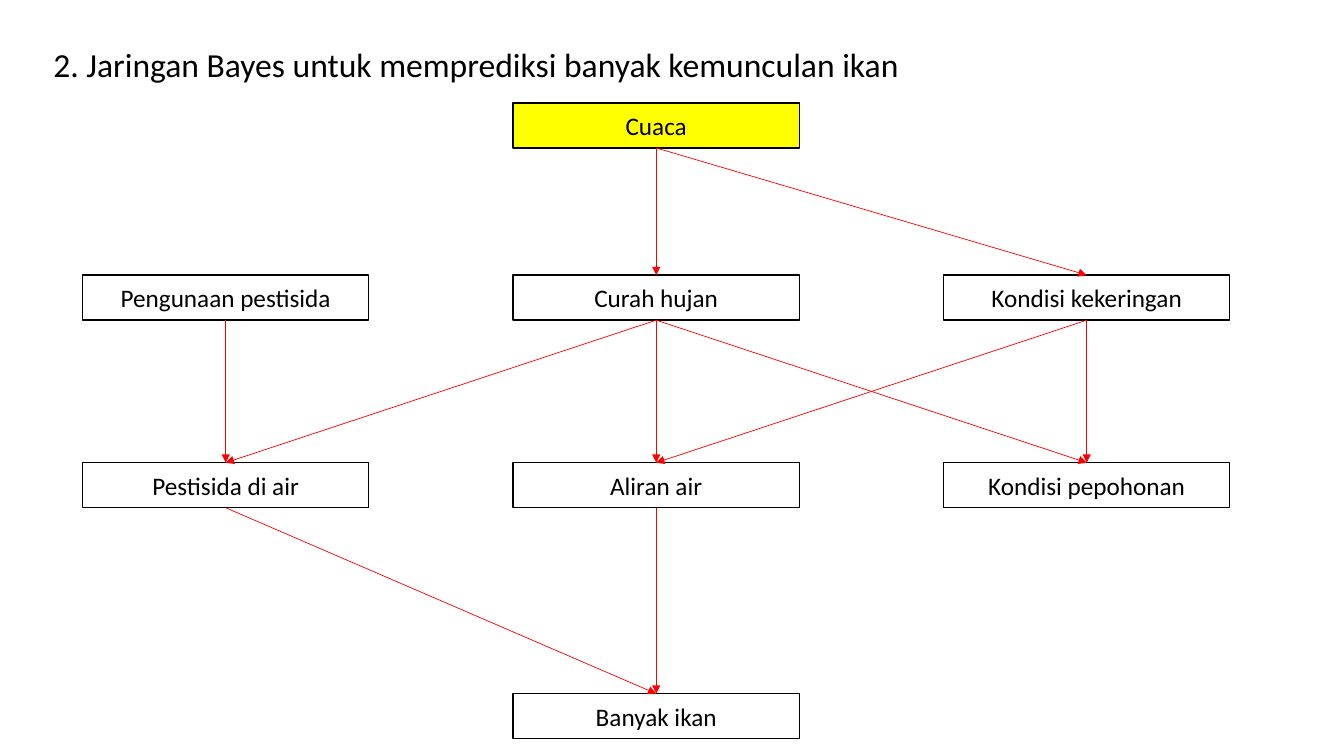
import pptx
import pptx.dml.color
import pptx.enum.shapes
import pptx.enum.text
import pptx.oxml
import pptx.oxml.ns
import pptx.shapes.autoshape
import pptx.slide
import pptx.util
from dataclasses import dataclass

Pt = pptx.util.Pt
RGB = pptx.dml.color.RGBColor


@dataclass(frozen=True)
class Theme:
    font: str = "Calibri"
    title_size: float = 24
    node_size: float = 18
    ink: RGB = RGB(0, 0, 0)
    plain: RGB = RGB(255, 255, 255)
    highlight: RGB = RGB(255, 255, 0)
    arrow: RGB = RGB(255, 0, 0)
    border_width: float = 1
    arrow_width: float = 0.5


@dataclass(frozen=True)
class Node:
    label: str
    column: int
    row: int
    fill: RGB


@dataclass(frozen=True)
class Influence:
    cause: Node
    effect: Node


THEME = Theme()

# Grid of the network, in points
LEFT, COLUMN_STEP = 59, 307.5
ROW_TOPS = (73.5, 196.5, 330.5, 495.5)
NODE_WIDTH, NODE_HEIGHT = 204.5, 32.2
BOTTOM_SITE, TOP_SITE = 2, 0

# Variables of the network
WEATHER = Node("Cuaca", 1, 0, THEME.highlight)
DROUGHT = Node("Kondisi kekeringan", 2, 1, THEME.plain)
RAINFALL = Node("Curah hujan", 1, 1, THEME.plain)
PESTICIDE_USE = Node("Pengunaan pestisida", 0, 1, THEME.plain)
TREES = Node("Kondisi pepohonan", 2, 2, THEME.plain)
WATER_FLOW = Node("Aliran air", 1, 2, THEME.plain)
WATER_PESTICIDE = Node("Pestisida di air", 0, 2, THEME.plain)
FISH = Node("Banyak ikan", 1, 3, THEME.plain)

NODES = (WEATHER, DROUGHT, RAINFALL, PESTICIDE_USE,
         TREES, WATER_FLOW, WATER_PESTICIDE, FISH)
INFLUENCES = (
    Influence(WEATHER, RAINFALL),
    Influence(WEATHER, DROUGHT),
    Influence(DROUGHT, TREES),
    Influence(DROUGHT, WATER_FLOW),
    Influence(RAINFALL, TREES),
    Influence(RAINFALL, WATER_FLOW),
    Influence(RAINFALL, WATER_PESTICIDE),
    Influence(PESTICIDE_USE, WATER_PESTICIDE),
    Influence(WATER_PESTICIDE, FISH),
    Influence(WATER_FLOW, FISH),
)


def write(frame: pptx.text.text.TextFrame, wording: str, size: float) -> None:
    frame.word_wrap = True
    run = frame.paragraphs[0].add_run()
    run.text = wording
    run.font.name = THEME.font
    run.font.size = Pt(size)
    run.font.color.rgb = THEME.ink


def draw_node(slide: pptx.slide.Slide, node: Node) -> pptx.shapes.autoshape.Shape:
    box = slide.shapes.add_shape(
        pptx.enum.shapes.MSO_SHAPE.RECTANGLE,
        Pt(LEFT + node.column * COLUMN_STEP), Pt(ROW_TOPS[node.row]),
        Pt(NODE_WIDTH), Pt(NODE_HEIGHT))
    box.shadow.inherit = False
    box.fill.solid()
    box.fill.fore_color.rgb = node.fill
    box.line.color.rgb = THEME.ink
    box.line.width = Pt(THEME.border_width)
    write(box.text_frame, node.label, THEME.node_size)
    box.text_frame.vertical_anchor = pptx.enum.text.MSO_ANCHOR.MIDDLE
    box.text_frame.paragraphs[0].alignment = pptx.enum.text.PP_ALIGN.CENTER
    return box


def draw_influence(slide: pptx.slide.Slide, cause: pptx.shapes.autoshape.Shape,
                   effect: pptx.shapes.autoshape.Shape) -> None:
    arrow = slide.shapes.add_connector(
        pptx.enum.shapes.MSO_CONNECTOR.STRAIGHT, Pt(0), Pt(0), Pt(0), Pt(0))
    arrow.begin_connect(cause, BOTTOM_SITE)
    arrow.end_connect(effect, TOP_SITE)
    arrow.line.color.rgb = THEME.arrow
    arrow.line.width = Pt(THEME.arrow_width)
    # Arrowhead at the effect, and no shadow
    head = pptx.oxml.parse_xml(
        f'<a:tailEnd {pptx.oxml.ns.nsdecls("a")} type="triangle"/>')
    arrow.line._get_or_add_ln().append(head)
    no_effects = pptx.oxml.parse_xml(
        f'<a:effectLst {pptx.oxml.ns.nsdecls("a")}/>')
    arrow._element.spPr.append(no_effects)


def main() -> None:
    deck = pptx.Presentation()
    deck.slide_width, deck.slide_height = Pt(960), Pt(540)
    slide = deck.slides.add_slide(deck.slide_layouts[6])

    # Network
    boxes = {node: draw_node(slide, node) for node in NODES}
    for influence in INFLUENCES:
        draw_influence(slide, boxes[influence.cause], boxes[influence.effect])

    # Title
    title = slide.shapes.add_textbox(Pt(31), Pt(28), Pt(631), Pt(36))
    write(title.text_frame,
          "2. Jaringan Bayes untuk memprediksi banyak kemunculan ikan",
          THEME.title_size)

    deck.save("out.pptx")


if __name__ == "__main__":
    main()
